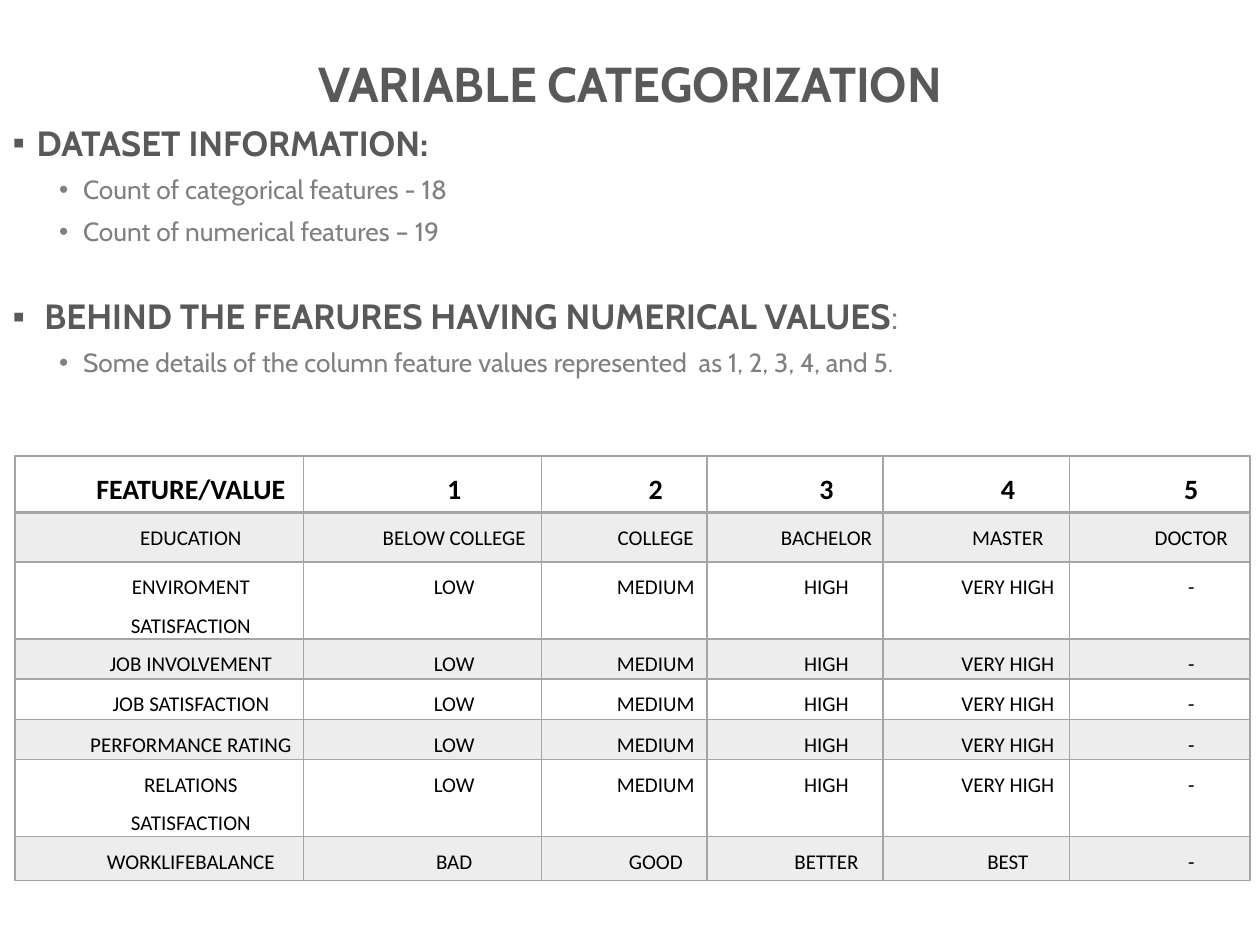
from dataclasses import dataclass

from lxml.etree import SubElement
from pptx import Presentation
from pptx.dml.color import RGBColor
from pptx.enum.text import MSO_ANCHOR, MSO_AUTO_SIZE, PP_ALIGN
from pptx.oxml.ns import qn
from pptx.util import Inches, Pt

HEADING, DETAIL, BLACK, GRAY = "595959", "808080", "000000", "A5A5A5"
BAND_ALPHA = 20


@dataclass
class Run:
    text: str
    size: float
    color: str
    bold: bool = False
    font: str = "Cabin"


@dataclass
class Item:
    runs: list[Run]
    level: int = 0
    before: float = 7.5


def rgb(color: str) -> RGBColor:
    return RGBColor.from_string(color)


def heading(text: str) -> Run:
    return Run(text, 20, HEADING, True)


def detail(text: str) -> Item:
    return Item([Run(text, 15, DETAIL)], level=1)


def add_run(p, run: Run) -> None:
    r = p.add_run()
    r.text = run.text
    r.font.size = Pt(run.size)
    r.font.name = run.font
    r.font.bold = run.bold
    r.font.color.rgb = rgb(run.color)


def place(sp, left: float, top: float, width: float, height: float) -> None:
    sp.left, sp.top = Inches(left), Inches(top)
    sp.width, sp.height = Inches(width), Inches(height)
    sp.text_frame.auto_size = MSO_AUTO_SIZE.NONE


def add_item(p, item: Item) -> None:
    """Fill one bulleted paragraph."""
    p.level = item.level
    p.line_spacing = 0.9
    p.space_before = Pt(item.before)
    pPr = p._p.get_or_add_pPr()
    pPr.set("marL", str(Inches((0.19, 0.56)[item.level])))
    pPr.set("indent", str(Inches(-0.19)))
    SubElement(pPr, qn("a:buChar"), char="▪•"[item.level])
    for run in item.runs:
        add_run(p, run)


def set_borders(cell, **widths: float) -> None:
    """Draw the cell's sides: L, R, T and B, widths in points."""
    tcPr = cell._tc.get_or_add_tcPr()
    for side, width in widths.items():
        ln = SubElement(tcPr, qn(f"a:ln{side}"), w=str(Pt(width)))
        fill = SubElement(ln, qn("a:solidFill"))
        SubElement(fill, qn("a:srgbClr"), val=GRAY)


def set_band(cell, banded: bool) -> None:
    if not banded:
        cell.fill.background()
        return
    cell.fill.solid()
    cell.fill.fore_color.rgb = rgb(GRAY)
    color = cell._tc.tcPr.find(f"{qn('a:solidFill')}/{qn('a:srgbClr')}")
    SubElement(color, qn("a:alpha"), val=str(BAND_ALPHA * 1000))


def fill_cell(cell, text: str, row: int) -> None:
    header = row == 0
    cell.margin_left = cell.margin_right = Inches(0.05)
    cell.margin_top = cell.margin_bottom = 0
    set_borders(cell, L=1, R=1, T=2 if row == 1 else 1, B=2 if header else 1)
    set_band(cell, row % 2 == 1)
    tf = cell.text_frame
    for i, line in enumerate(text.split("\n")):
        p = tf.add_paragraph() if i else tf.paragraphs[0]
        p.alignment = PP_ALIGN.CENTER
        p.line_spacing = 1.5
        p._p.get_or_add_pPr().set("marL", str(Inches(0.5)))
        add_run(p, Run(line, 16 if header else 12, BLACK, header, "Calibri"))


prs = Presentation()
prs.slide_width, prs.slide_height = Inches(10), Inches(7.5)
s = prs.slides.add_slide(prs.slide_layouts[1])

# Title
title = s.shapes.title
place(title, 0, 0.3, 10, 0.72)
title.text_frame.vertical_anchor = MSO_ANCHOR.MIDDLE
p = title.text_frame.paragraphs[0]
p.alignment = PP_ALIGN.CENTER
add_run(p, Run("VARIABLE CATEGORIZATION", 28, HEADING, True))

# Bulleted list
ITEMS = [
    Item([heading("DATASET INFORMATION:")], before=0),
    detail("Count of categorical features - 18"),
    detail("Count of numerical features – 19"),
    Item([heading(" BEHIND THE FEARURES HAVING NUMERICAL VALUES"),
          Run(":", 20, DETAIL)], before=30),
    detail("Some details of the column feature values represented  as 1, 2, 3, 4, and 5."),
]
body = s.placeholders[1]
place(body, 0, 1, 10, 2.5)
tf = body.text_frame
tf.margin_top = 0
for i, item in enumerate(ITEMS):
    add_item(tf.add_paragraph() if i else tf.paragraphs[0], item)

# Feature table
SCALE = ["LOW", "MEDIUM", "HIGH", "VERY HIGH", "-"]
ROWS = [
    ["FEATURE/VALUE", "1", "2", "3", "4", "5"],
    ["EDUCATION", "BELOW COLLEGE", "COLLEGE", "BACHELOR", "MASTER", "DOCTOR"],
    ["ENVIROMENT\nSATISFACTION", *SCALE],
    ["JOB INVOLVEMENT", *SCALE],
    ["JOB SATISFACTION", *SCALE],
    ["PERFORMANCE RATING", *SCALE],
    ["RELATIONS\nSATISFACTION", *SCALE],
    ["WORKLIFEBALANCE", "BAD", "GOOD", "BETTER", "BEST", "-"],
]
COL_WIDTHS = [2.29, 1.89, 1.31, 1.4, 1.48, 1.43]
ROW_HEIGHTS = [0.45, 0.39, 0.61, 0.32, 0.32, 0.32, 0.61, 0.35]
table = s.shapes.add_table(
    len(ROWS), len(COL_WIDTHS), Inches(0.12), Inches(3.62),
    Inches(sum(COL_WIDTHS)), Inches(sum(ROW_HEIGHTS))).table
table.first_row = table.horz_banding = False
for column, width in zip(table.columns, COL_WIDTHS):
    column.width = Inches(width)
for i, (row, height) in enumerate(zip(table.rows, ROW_HEIGHTS)):
    row.height = Inches(height)
    for cell, text in zip(row.cells, ROWS[i]):
        fill_cell(cell, text, i)

prs.save("out.pptx")
